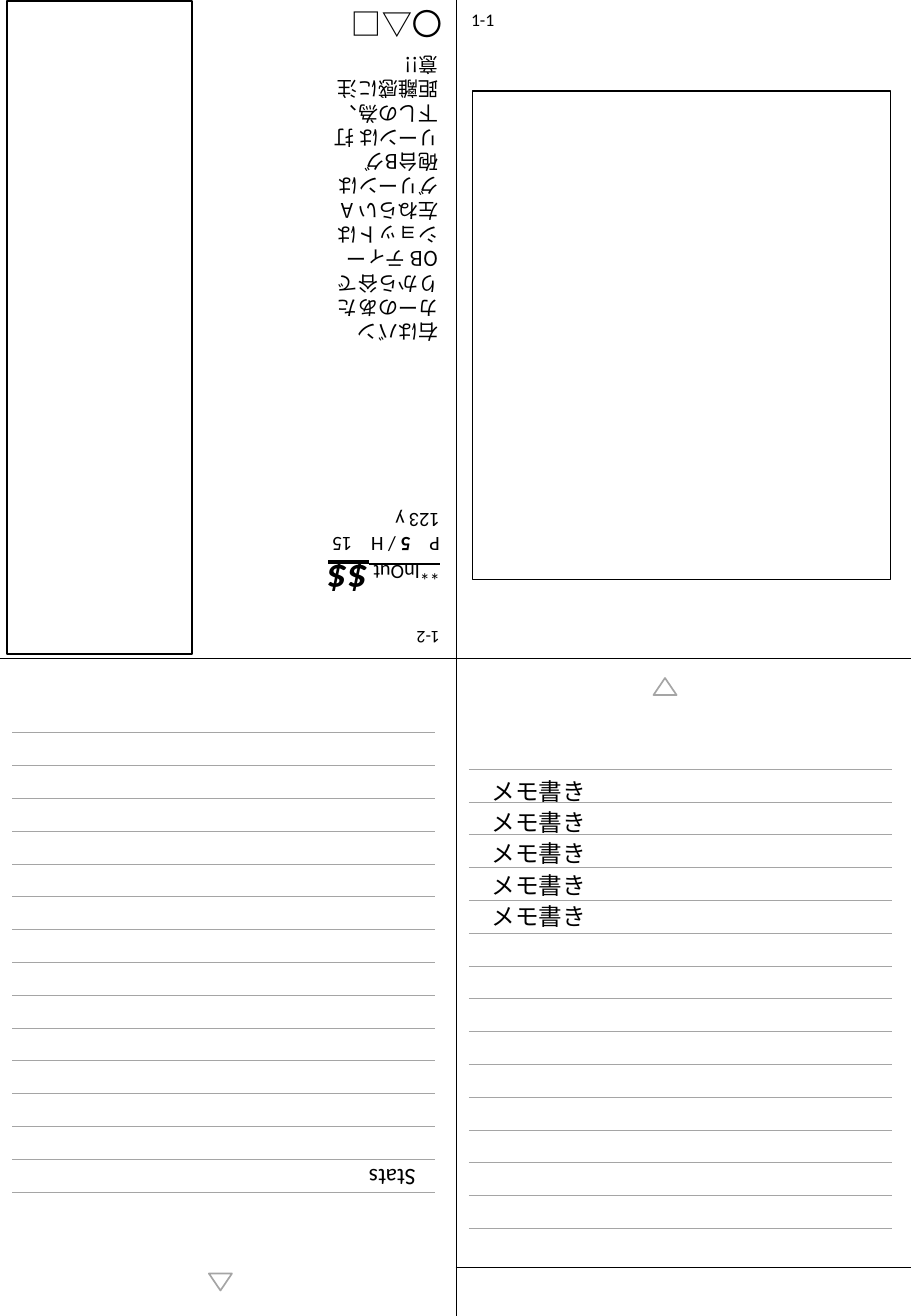
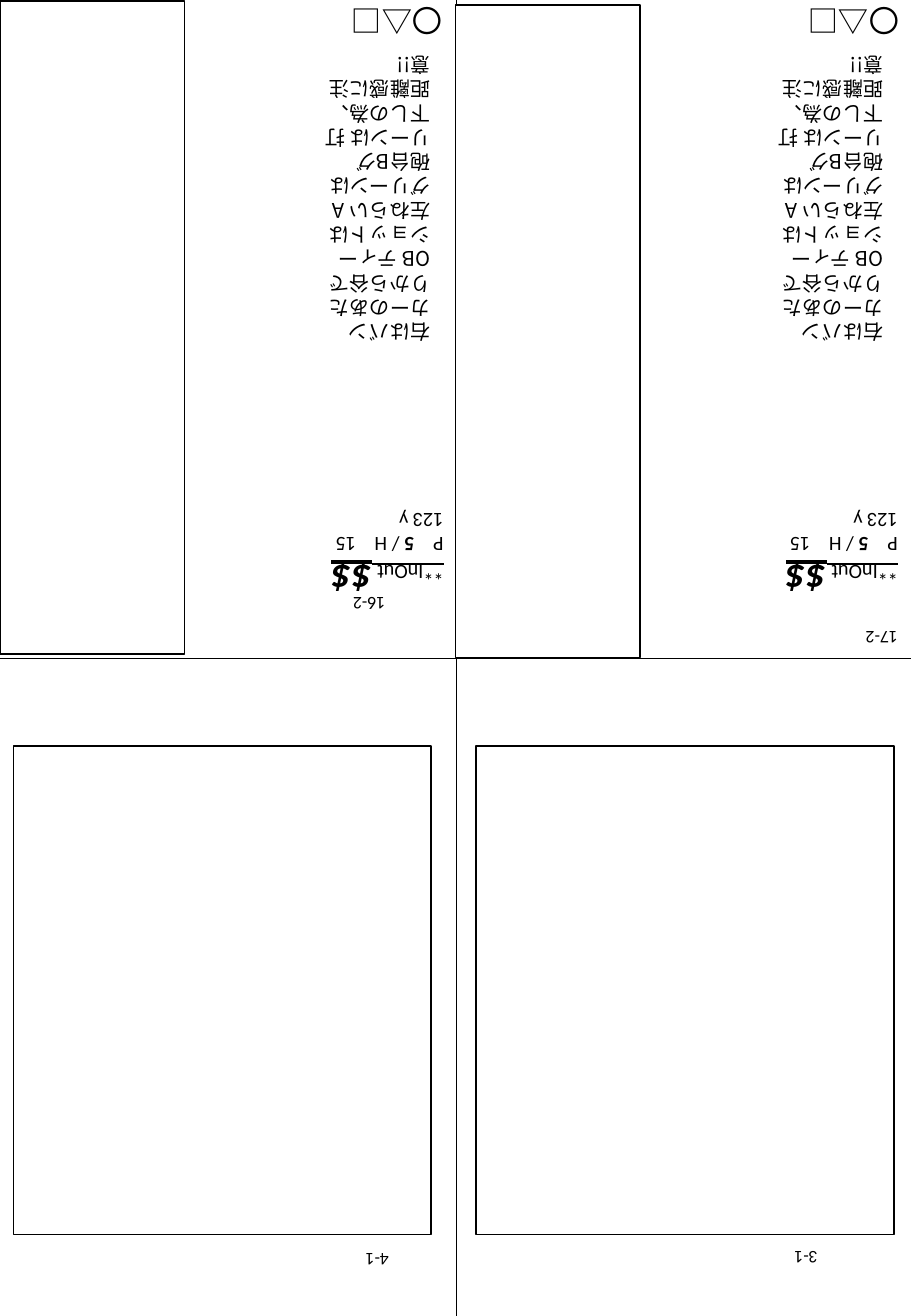
import dataclasses

import pptx
import pptx.dml.color
import pptx.enum.shapes
import pptx.enum.text
import pptx.oxml.ns
import pptx.util
from lxml import etree

SCALE = 9144  # EMU per px, 100 px to the inch
WIDTH, HEIGHT = 750, 1083
SHAPE = pptx.enum.shapes.MSO_SHAPE


@dataclasses.dataclass(frozen=True)
class Theme:
    ink: str = "000000"
    rule: str = "A5A5A5"
    paper: str = "FFFFFF"
    latin: str = "Calibri"
    japanese: str = "Noto Sans CJK JP"
    label: float = 10.5
    body: float = 12
    memo: float = 14
    marks: float = 18
    money: float = 24
    hairline: float = 0.5
    outline: float = 1
    body_pitch: float = 14.4
    memo_pitch: float = 18.5


THEME = Theme()
ADVICE = ("右はバンカーのあたりから谷でOB ティーショットは左ねらい Aグリーンは"
          "砲台Bグリーンは 打下しの為、距離感に注意!!")


def px(*lengths):
    return [pptx.util.Emu(length * SCALE) for length in lengths]


def rgb(colour):
    return pptx.dml.color.RGBColor.from_string(colour)


def add_line(shapes, start, end, colour=THEME.ink, weight=THEME.hairline):
    line = shapes.add_connector(
        pptx.enum.shapes.MSO_CONNECTOR.STRAIGHT, *px(*start, *end))
    line.line.color.rgb = rgb(colour)
    line.line.width = pptx.util.Pt(weight)
    etree.SubElement(line._element.spPr, pptx.oxml.ns.qn("a:effectLst"))


def add_outline(page, kind, at, colour=THEME.ink, rotation=0):
    shape = page.shapes.add_shape(kind, *px(*at))
    shape.shadow.inherit = False
    shape.fill.solid()
    shape.fill.fore_color.rgb = rgb(THEME.paper)
    shape.line.color.rgb = rgb(colour)
    shape.line.width = pptx.util.Pt(THEME.outline)
    shape.rotation = rotation


def style(para, size, font=THEME.latin, pitch=None):
    para.font.size = pptx.util.Pt(size)
    para.font.name = font
    para.font.color.rgb = rgb(THEME.ink)
    if pitch:
        para.line_spacing = pptx.util.Pt(pitch)


def add_box(page, at, rotation=0, wrap=True, bottom=False):
    box = page.shapes.add_textbox(*px(*at))
    box.rotation = rotation
    frame = box.text_frame
    frame.word_wrap = wrap
    if bottom:
        frame.vertical_anchor = pptx.enum.text.MSO_ANCHOR.BOTTOM
    return frame


def add_text(page, at, text, size, rotation=0, wrap=True, bottom=False,
             font=THEME.latin, pitch=None):
    frame = add_box(page, at, rotation, wrap, bottom)
    frame.text = text
    for para in frame.paragraphs:
        style(para, size, font, pitch)


def add_label(page, left, top, text, rotation=180):
    width = 40 if len(text) == 3 else 47
    add_text(page, (left, top, width, 28), text, THEME.label, rotation, wrap=False)


def add_span(para, text, **looks):
    span = para.add_run()
    span.text = text
    for name, value in looks.items():
        setattr(span.font, name, value)


def add_tabs(para, *stops):
    tabs = etree.SubElement(para._p.get_or_add_pPr(), pptx.oxml.ns.qn("a:tabLst"))
    para._p.pPr.insert(0, tabs)
    for stop in stops:
        etree.SubElement(tabs, pptx.oxml.ns.qn("a:tab"), pos=str(stop * SCALE), algn="l")


def add_score(page, left):
    frame = add_box(page, (left, 414, 176, 91), rotation=180, bottom=True)
    stake, par, yards = frame.paragraphs[0], frame.add_paragraph(), frame.add_paragraph()
    for para in (stake, par, yards):
        style(para, THEME.body)
    add_span(stake, "**InOut ", underline=True)
    add_span(stake, "$$", underline=True, bold=True, italic=True,
             size=pptx.util.Pt(THEME.money))
    add_tabs(par, 24, 72)
    add_span(par, "P\t")
    add_span(par, "5 ", bold=True)
    add_span(par, "/ H\t15")
    add_span(yards, "123 y")


def add_hole_panel(page, strip, advice_left, score_left, marks):
    """An upside-down hole guide: blank strip, advice, score and marks."""
    add_score(page, score_left)
    add_outline(page, SHAPE.FLOWCHART_PROCESS, (*strip, 152, 537), rotation=180)
    add_text(page, (advice_left, 39, 110, 225), ADVICE, THEME.body, rotation=180,
             bottom=True, font=THEME.japanese, pitch=THEME.body_pitch)
    add_text(page, (*marks, 96, 40), "〇△□", THEME.marks, rotation=180, wrap=False)


def add_map_frame(page, left, top, rotation=0):
    add_outline(page, SHAPE.FLOWCHART_PROCESS, (left, top, 344, 402), rotation=rotation)


def add_ruled_lines(page, left, top, count=15, pitch=27, width=348):
    group = page.shapes.add_group_shape()
    for row in range(count):
        y = top + row * pitch
        add_line(group.shapes, (left, y), (left + width, y), THEME.rule)


def add_folds(page):
    add_line(page.shapes, (0, 542), (WIDTH, 542))
    add_line(page.shapes, (376, 0), (376, HEIGHT))


def build_memo_page(page):
    # Ruled quarters and folds
    add_ruled_lines(page, 10, 603)
    add_ruled_lines(page, 386, 633)
    add_folds(page)
    add_outline(page, SHAPE.ISOSCELES_TRIANGLE, (172, 1048, 19, 14), THEME.rule, 180)
    add_outline(page, SHAPE.ISOSCELES_TRIANGLE, (538, 558, 19, 14), THEME.rule)
    add_line(page.shapes, (375, 1043), (WIDTH, 1043), weight=THEME.outline)
    # Top quarters
    add_label(page, 378, 2, "1-1", rotation=0)
    add_label(page, 332, 511, "1-2")
    add_map_frame(page, 389, 75)
    add_hole_panel(page, (6, 1), 261, 196, (278, 0))
    # Writing on the ruled lines
    add_text(page, (395, 632, 334, 168), "\n".join(["メモ書き"] * 5), THEME.memo,
             pitch=THEME.memo_pitch)
    add_text(page, (22, 608, 330, 381), "Stats", THEME.memo, rotation=180,
             pitch=THEME.memo_pitch)


def build_hole_page(page):
    add_folds(page)
    # Hole guides above the fold
    add_hole_panel(page, (0, 1), 254, 199, (278, -2))
    add_hole_panel(page, (375, 4), 627, 573, (654, -2))
    # Map frames below the fold
    for left in (11, 392):
        add_map_frame(page, left, 614, rotation=180)
    # Page numbers
    for left, top, text in ((280, 483, "16-2"), (702, 511, "17-2"),
                            (643, 1021, "3-1"), (290, 1023, "4-1")):
        add_label(page, left, top, text)


def main():
    deck = pptx.Presentation()
    deck.slide_width, deck.slide_height = px(WIDTH, HEIGHT)
    for build in (build_memo_page, build_hole_page):
        build(deck.slides.add_slide(deck.slide_layouts[6]))
    deck.save("out.pptx")


if __name__ == "__main__":
    main()
